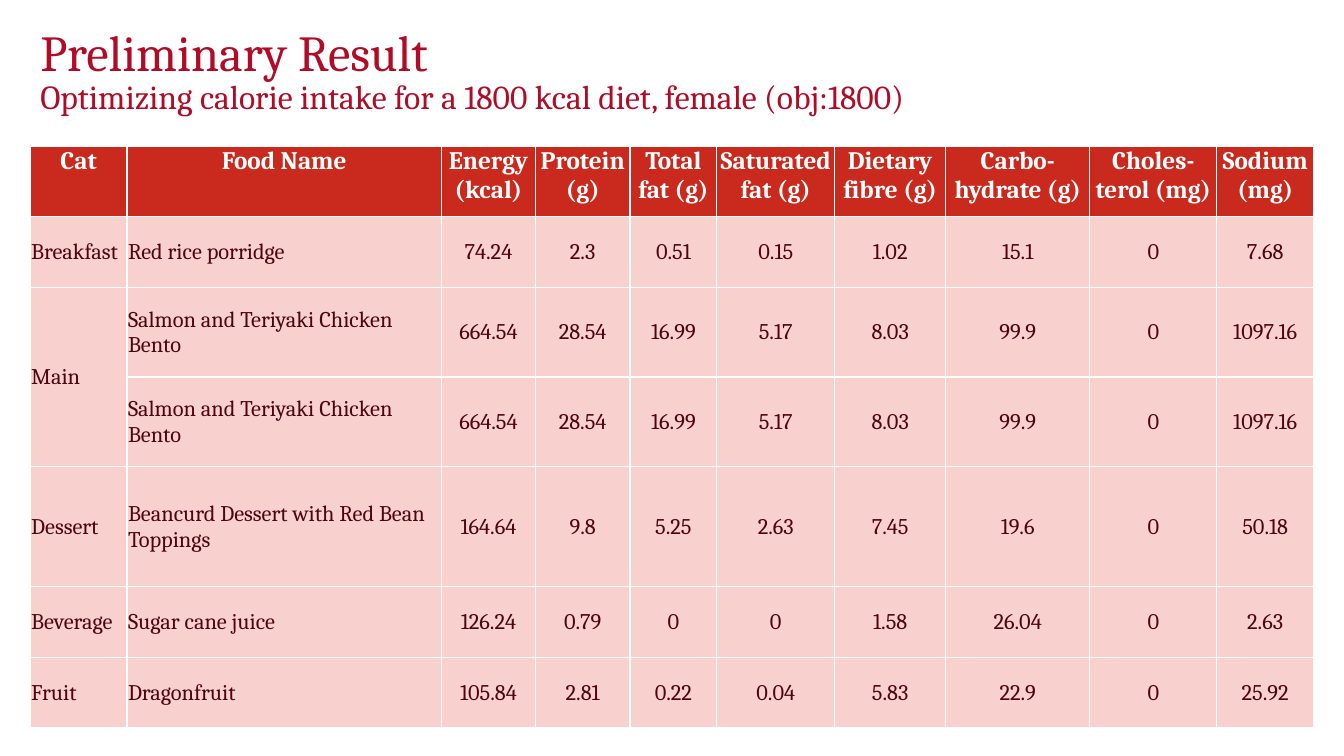
from lxml.etree import SubElement
from pptx import Presentation
from pptx.dml.color import RGBColor
from pptx.enum.text import MSO_ANCHOR, MSO_AUTO_SIZE, PP_ALIGN
from pptx.oxml.ns import qn
from pptx.util import Inches, Pt

FONT = "Cambria"
CRIMSON = RGBColor(0xB1, 0x0C, 0x27)
HEADER_RED = RGBColor(0xCA, 0x2A, 0x1E)
PALE_RED = RGBColor(0xF8, 0xD1, 0xCF)
DARK_RED = RGBColor(0x4D, 0x05, 0x11)
WHITE = RGBColor(0xFF, 0xFF, 0xFF)

COLUMN_WIDTHS = [0.96, 3.12, 0.93, 0.94, 0.86, 1.17, 1.1, 1.43, 1.26, 0.96]
ROW_HEIGHTS = [0.7, 0.7, 0.89, 0.89, 1.19, 0.7, 0.7]
HEADERS = ["Cat", "Food Name", "Energy (kcal)", "Protein (g)", "Total fat (g)",
           "Saturated fat (g)", "Dietary fibre (g)", "Carbo-hydrate (g)",
           "Choles-terol (mg)", "Sodium (mg)"]
BENTO = ["Salmon and Teriyaki Chicken Bento", "664.54", "28.54", "16.99", "5.17",
         "8.03", "99.9", "0", "1097.16"]
MEALS = [
    ["Breakfast", "Red rice porridge", "74.24", "2.3", "0.51", "0.15",
     "1.02", "15.1", "0", "7.68"],
    ["Main", *BENTO],
    ["", *BENTO],
    ["Dessert", "Beancurd Dessert with Red Bean Toppings", "164.64", "9.8", "5.25",
     "2.63", "7.45", "19.6", "0", "50.18"],
    ["Beverage", "Sugar cane juice", "126.24", "0.79", "0", "0",
     "1.58", "26.04", "0", "2.63"],
    ["Fruit", "Dragonfruit", "105.84", "2.81", "0.22", "0.04",
     "5.83", "22.9", "0", "25.92"],
]


def write_text(paragraph, text, *, size, color, bold=False, align=PP_ALIGN.LEFT,
               line_spacing=None):
    paragraph.alignment = align
    paragraph.space_before = Pt(0)
    paragraph.line_spacing = line_spacing
    run = paragraph.add_run()
    run.text = text
    run.font.name = FONT
    run.font.size = Pt(size)
    run.font.bold = bold
    run.font.color.rgb = color


def format_cell(cell, fill, anchor):
    """Set insets, anchor, white borders and fill of a table cell."""
    cell.margin_left = cell.margin_right = cell.margin_top = Inches(0.01)
    cell.margin_bottom = 0
    cell.vertical_anchor = anchor
    properties = cell._tc.get_or_add_tcPr()
    for side in ("a:lnL", "a:lnR", "a:lnT", "a:lnB"):
        line = SubElement(properties, qn(side), w=str(Pt(1)))
        line_fill = SubElement(line, qn("a:solidFill"))
        SubElement(line_fill, qn("a:srgbClr"), val=str(WHITE))
    cell.fill.solid()
    cell.fill.fore_color.rgb = fill


def add_heading(slide, left, top, width, height):
    title = slide.shapes.title
    title.left, title.top = Inches(left), Inches(top)
    title.width, title.height = Inches(width), Inches(height)
    frame = title.text_frame
    frame.word_wrap = True
    frame.auto_size = MSO_AUTO_SIZE.NONE
    frame.vertical_anchor = MSO_ANCHOR.TOP
    write_text(frame.paragraphs[0], "Preliminary Result",
               size=36, color=CRIMSON, line_spacing=0.85)
    write_text(frame.add_paragraph(),
               "Optimizing calorie intake for a 1800 kcal diet, female (obj:1800)",
               size=24, color=CRIMSON, line_spacing=0.85)


def add_nutrition_table(slide, left, top):
    rows = [HEADERS, *MEALS]
    frame = slide.shapes.add_table(
        len(rows), len(HEADERS), Inches(left), Inches(top),
        Inches(sum(COLUMN_WIDTHS)), Inches(sum(ROW_HEIGHTS)))
    table = frame.table
    table.horz_banding = False
    for column, width in zip(table.columns, COLUMN_WIDTHS):
        column.width = Inches(width)
    for row, height in zip(table.rows, ROW_HEIGHTS):
        row.height = Inches(height)

    for row_index, values in enumerate(rows):
        is_header = row_index == 0
        for column_index, value in enumerate(values):
            cell = table.cell(row_index, column_index)
            format_cell(cell, HEADER_RED if is_header else PALE_RED,
                        MSO_ANCHOR.TOP if is_header else MSO_ANCHOR.MIDDLE)
            if value:
                centred = is_header or column_index >= 2
                write_text(cell.text_frame.paragraphs[0], value,
                           size=18 if is_header else 16,
                           color=WHITE if is_header else DARK_RED,
                           bold=is_header,
                           align=PP_ALIGN.CENTER if centred else PP_ALIGN.LEFT)
    table.cell(2, 0).merge(table.cell(3, 0))


def main():
    presentation = Presentation()
    presentation.slide_width = Inches(13.33)
    presentation.slide_height = Inches(7.5)
    slide = presentation.slides.add_slide(presentation.slide_layouts[5])
    add_heading(slide, 0.3, 0.25, 10.79, 0.65)
    add_nutrition_table(slide, 0.3, 1.45)
    presentation.save("out.pptx")


if __name__ == "__main__":
    main()
